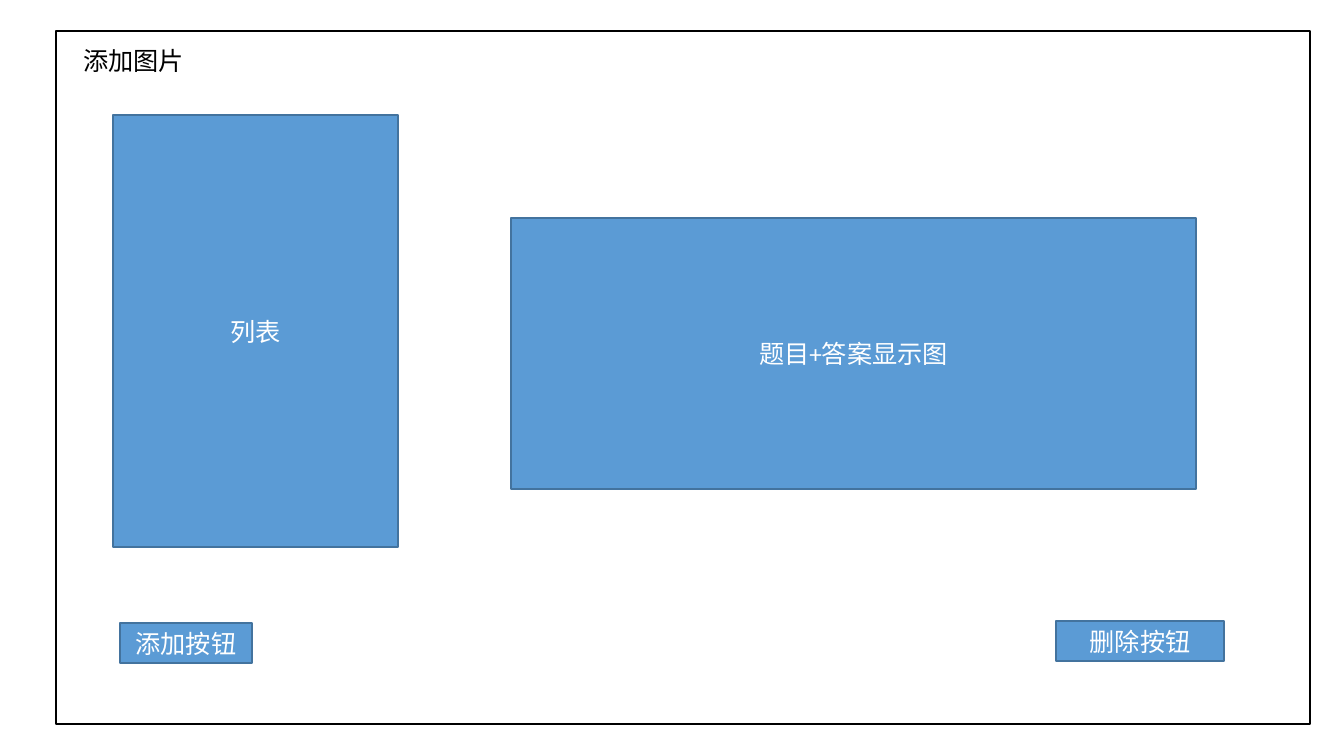
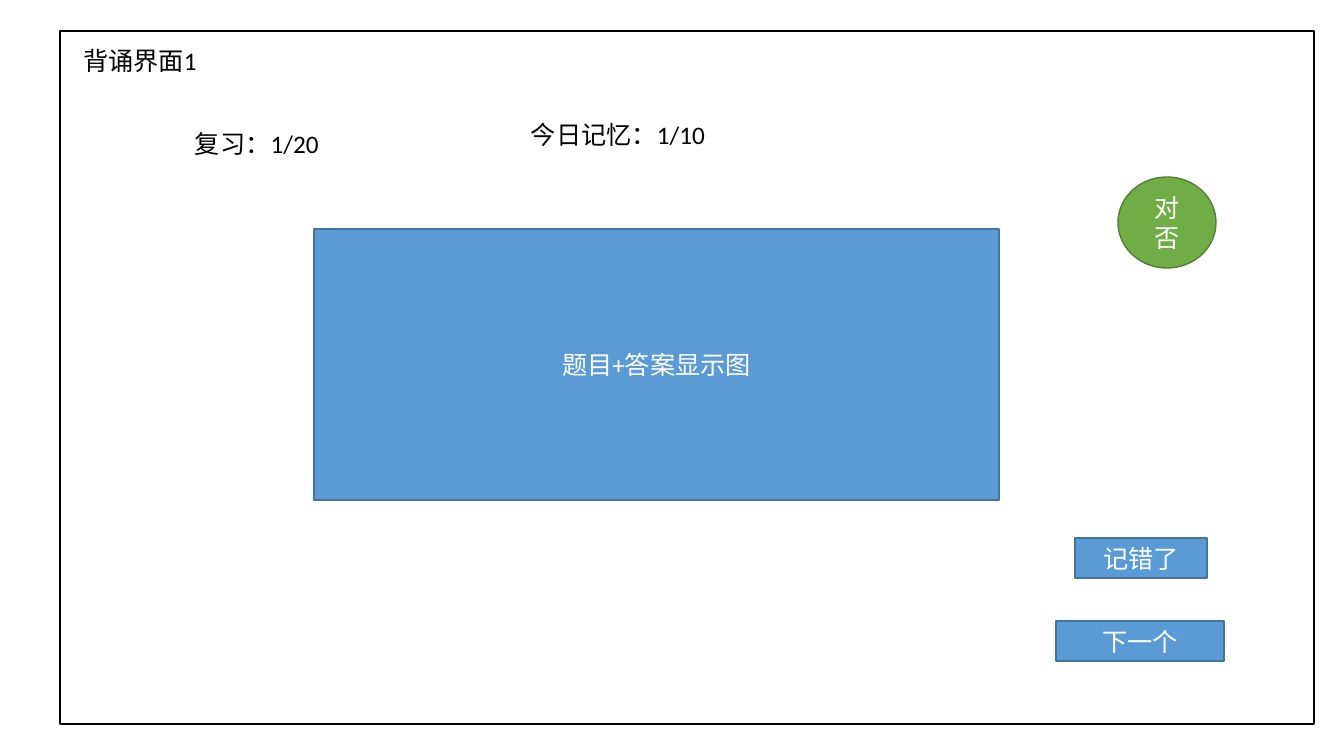
from pptx import Presentation
from pptx.dml.color import RGBColor
from pptx.enum import shapes, text
from pptx.util import Pt

# Content: words, position, and size in pixels
PANEL = (685, 271)
SMALL = (132, 40)
WIDE = (168, 40)
TITLE = (73, 40, 190, 40)
FRAME = (1254, 693)
QUIZ = "题目+答案显示图"

PAGES = [
    dict(title="添加图片", left=56, notes=[], marks=[],
         boxes=[(QUIZ, (511, 218), PANEL),
                ("添加按钮", (120, 623), SMALL),
                ("列表", (113, 115), (285, 432)),
                ("删除按钮", (1056, 621), WIDE)]),
    dict(title="背诵界面1", left=60,
         boxes=[(QUIZ, (314, 229), PANEL),
                ("记错了", (1075, 538), SMALL),
                ("下一个", (1056, 621), WIDE)],
         notes=[("复习：1/20", (185, 123), (151, 40)),
                ("今日记忆：1/10", (521, 114), (225, 40))],
         marks=[("对否", (1118, 177), (98, 91))]),
]

# Shared look
BLACK = RGBColor(0, 0, 0)
WHITE = RGBColor(255, 255, 255)
BLUE = RGBColor(0x5B, 0x9B, 0xD5)
NAVY = RGBColor(0x43, 0x73, 0x9E)
GREEN = RGBColor(0x70, 0xAD, 0x47)
MOSS = RGBColor(0x53, 0x80, 0x35)
FONT = "Calibri"
SCALE = 914400 / 100.8
RECT = shapes.MSO_SHAPE.RECTANGLE
OVAL = shapes.MSO_SHAPE.OVAL
ALIGN = text.PP_ALIGN
ANCHOR = text.MSO_ANCHOR
FIT = text.MSO_AUTO_SIZE


def emu(*spans):
    return [round(n * SCALE) for n in spans]


def write(shape, words, color=BLACK, align=ALIGN.LEFT, anchor=ANCHOR.TOP,
          fit=FIT.SHAPE_TO_FIT_TEXT):
    frame = shape.text_frame
    frame.word_wrap = True
    frame.auto_size = fit
    frame.vertical_anchor = anchor
    para = frame.paragraphs[0]
    para.alignment = align
    run = para.add_run()
    run.text = words
    run.font.name, run.font.size = FONT, Pt(18)
    run.font.color.rgb = color


def draw(slide, kind, area, fill, line, words=None):
    shape = slide.shapes.add_shape(kind, *emu(*area))
    shape.shadow.inherit = False
    shape.fill.solid()
    shape.fill.fore_color.rgb = fill
    shape.line.color.rgb = line
    shape.line.width = Pt(1)
    if words:
        write(shape, words, color=WHITE, align=ALIGN.CENTER,
              anchor=ANCHOR.MIDDLE, fit=FIT.NONE)
    return shape


deck = Presentation()
deck.slide_width, deck.slide_height = emu(1344, 756)

for page in PAGES:
    slide = deck.slides.add_slide(deck.slide_layouts[5])

    # Window frame, with the title in front of it
    frame = draw(slide, RECT, (page["left"], 31, *FRAME), WHITE, BLACK)
    title = slide.shapes.title
    title.left, title.top, title.width, title.height = emu(*TITLE)
    write(title, page["title"])
    frame.element.addnext(title.element)

    # Panels and buttons
    for words, spot, size in page["boxes"]:
        draw(slide, RECT, spot + size, BLUE, NAVY, words)

    # Counters
    for words, spot, size in page["notes"]:
        write(slide.shapes.add_textbox(*emu(*spot, *size)), words)

    # Right or wrong mark
    for words, spot, size in page["marks"]:
        draw(slide, OVAL, spot + size, GREEN, MOSS, words)

deck.save("out.pptx")
